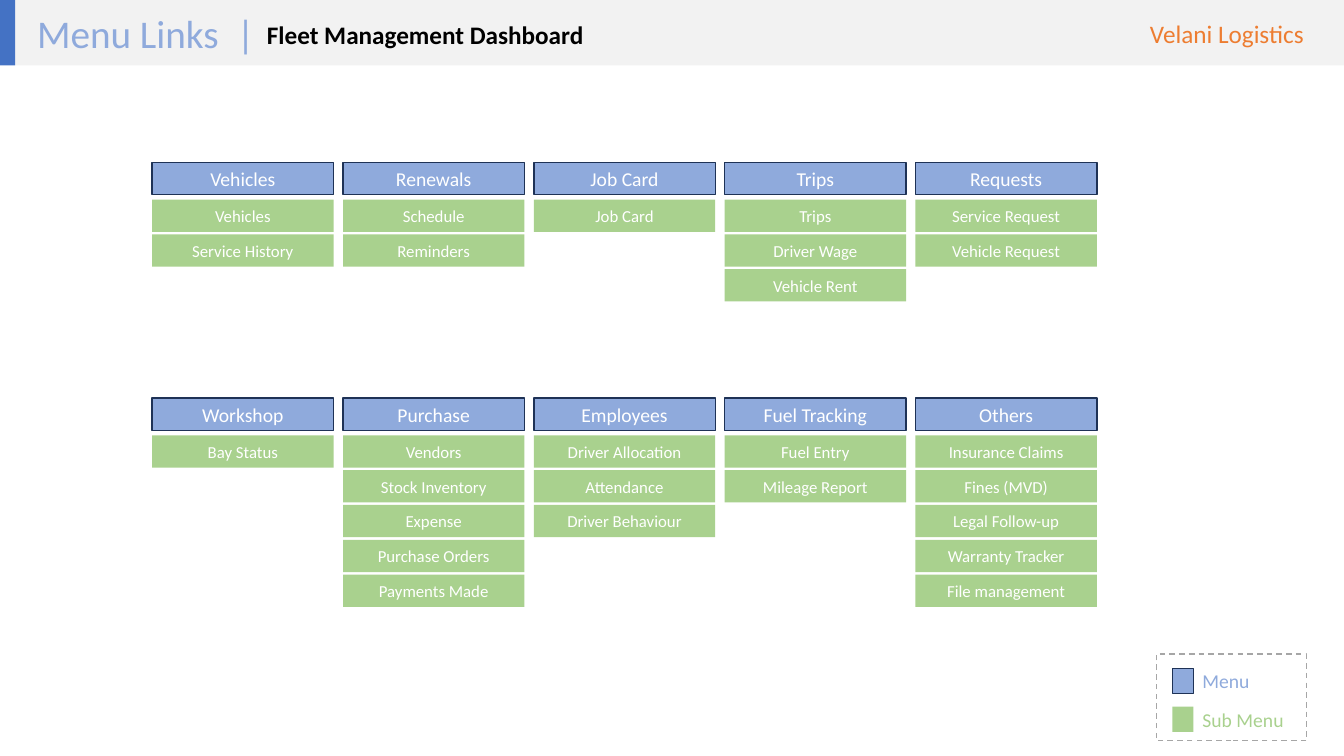
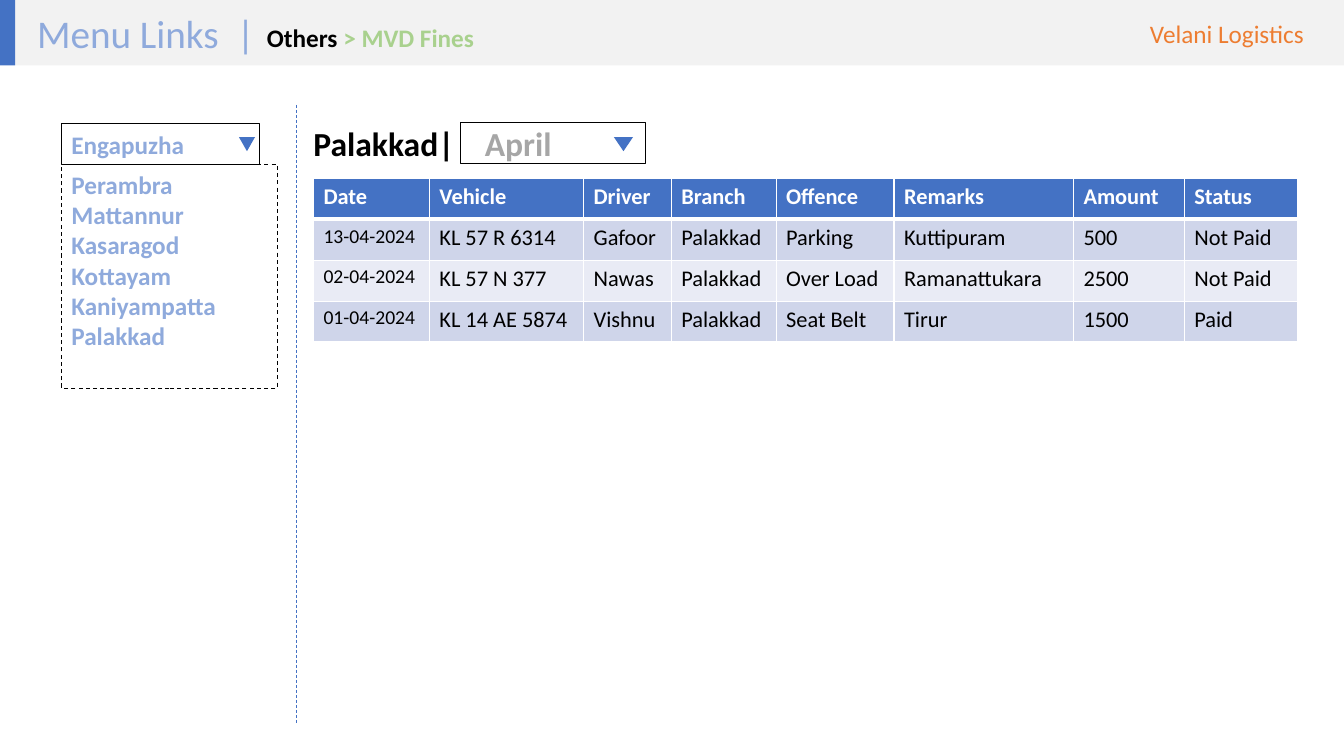
"""Build the menu overview and the fines page of a fleet management dashboard."""
from lxml import etree
from pptx import Presentation
from pptx import util as u
from pptx.dml.color import RGBColor
from pptx.enum import dml, shapes, text
from pptx.oxml import ns

COLORS = {
    "band": "F2F2F2", "accent": "4472C4", "brand": "ED7D31",
    "menu": "8FAADC", "edge": "1E3256", "sub": "A9D18E",
    "white": "FFFFFF", "black": "000000", "grey": "A6A6A6",
    "odd": "CFD5EA", "even": "E9EBF5",
}
FONT = "Calibri"
COLS, ROWS = 133.33, 75
UNIT = u.Inches(0.1)
BAND_H = 6.5

MENU_LEFT, MENU_PITCH, MENU_W, MENU_H = 15.1, 18.93, 18, 3.2
SUB_OFFSET, SUB_PITCH = 3.7, 3.45
MENU_TOPS = (16.1, 39.5)
MENUS = (
    (("Vehicles", ("Vehicles", "Service History")),
     ("Renewals", ("Schedule", "Reminders")),
     ("Job Card", ("Job Card",)),
     ("Trips", ("Trips", "Driver Wage", "Vehicle Rent")),
     ("Requests", ("Service Request", "Vehicle Request"))),
    (("Workshop", ("Bay Status",)),
     ("Purchase", ("Vendors", "Stock Inventory", "Expense", "Purchase Orders", "Payments Made")),
     ("Employees", ("Driver Allocation", "Attendance", "Driver Behaviour")),
     ("Fuel Tracking", ("Fuel Entry", "Mileage Report")),
     ("Others", ("Insurance Claims", "Fines (MVD)", "Legal Follow-up", "Warranty Tracker",
                 "File management"))),
)

BRANCHES = ("Perambra", "Mattannur", "Kasaragod", "Kottayam", "Kaniyampatta", "Palakkad")
FINE_COLS = (11.5, 15.3, 8.7, 10.4, 11.7, 17.8, 11, 11.2)
FINE_ROW = 4.06
FINES = (
    ("Date", "Vehicle", "Driver", "Branch", "Offence", "Remarks", "Amount", "Status"),
    ("13-04-2024", "KL 57 R 6314", "Gafoor", "Palakkad", "Parking", "Kuttipuram", "500", "Not Paid"),
    ("02-04-2024", "KL 57 N 377", "Nawas", "Palakkad", "Over Load", "Ramanattukara", "2500", "Not Paid"),
    ("01-04-2024", "KL 14 AE 5874", "Vishnu", "Palakkad", "Seat Belt", "Tirur", "1500", "Paid"),
)


def grid(*lengths):
    """Turn grid columns or rows into slide lengths."""
    return [u.Emu(round(n * UNIT)) for n in lengths]


def rgb(name):
    """Look up a named colour."""
    return RGBColor.from_string(COLORS[name])


def write(p, words, size=18, color="black", bold=False, align=None):
    """Add a formatted run to a paragraph."""
    r = p.add_run()
    r.text = words
    r.font.name, r.font.size, r.font.bold = FONT, u.Pt(size), bold
    r.font.color.rgb = rgb(color)
    p.alignment = align


def label(slide, x, y, w, h, words, **fmt):
    """Add a text box and return its first paragraph."""
    tf = slide.shapes.add_textbox(*grid(x, y, w, h)).text_frame
    tf.word_wrap = True
    write(tf.paragraphs[0], words, **fmt)
    return tf.paragraphs[0]


def box(slide, x, y, w, h, fill=None, line=None, width=1.0, dash=False,
        kind=shapes.MSO_SHAPE.RECTANGLE):
    """Add a flat preset shape."""
    sp = slide.shapes.add_shape(kind, *grid(x, y, w, h))
    sp.shadow.inherit = False
    if fill:
        sp.fill.solid()
        sp.fill.fore_color.rgb = rgb(fill)
    else:
        sp.fill.background()
    if line:
        sp.line.color.rgb = rgb(line)
        sp.line.width = u.Pt(width)
        if dash:
            sp.line.dash_style = dml.MSO_LINE.DASH
    else:
        sp.line.fill.background()
    return sp


def button(slide, x, y, words, size, **look):
    """Add a menu button with centred white text."""
    tf = box(slide, x, y, MENU_W, MENU_H, **look).text_frame
    tf.margin_top = tf.margin_bottom = 0
    tf.vertical_anchor = text.MSO_ANCHOR.MIDDLE
    write(tf.paragraphs[0], words, size=size, color="white", align=text.PP_ALIGN.CENTER)


def framed_list(slide, x, y, w, h, items, dash=False, left=1, top=0.5, **fmt):
    """Add an outlined box with one paragraph per item."""
    tf = box(slide, x, y, w, h, line="black", width=0.75, dash=dash).text_frame
    tf.word_wrap = True
    tf.vertical_anchor = text.MSO_ANCHOR.TOP
    tf.margin_left, tf.margin_top = grid(left, top)
    for i, item in enumerate(items):
        p = tf.paragraphs[0] if i == 0 else tf.add_paragraph()
        write(p, item, bold=True, align=text.PP_ALIGN.LEFT, **fmt)


def arrow_down(slide, x, y, w):
    """Add the marker of a drop-down field."""
    box(slide, x, y, w, 1.4, fill="accent",
        kind=shapes.MSO_SHAPE.ISOSCELES_TRIANGLE).rotation = 180


def dashed_rule(slide, x, top, bottom):
    """Add a thin vertical dashed line."""
    ln = slide.shapes.add_connector(shapes.MSO_CONNECTOR.STRAIGHT, *grid(x, top, x, bottom))
    ln.line.color.rgb = rgb("accent")
    ln.line.width = u.Pt(0.5)
    ln.line.dash_style = dml.MSO_LINE.DASH
    etree.SubElement(ln._element.spPr, ns.qn("a:effectLst"))


def cell_borders(cell, bottom):
    """Give a cell white borders, with its own bottom width."""
    tc_pr = cell._tc.get_or_add_tcPr()
    for i, (side, width) in enumerate((("L", 1), ("R", 1), ("T", 1), ("B", bottom))):
        ln = etree.Element(ns.qn(f"a:ln{side}"), w=str(u.Pt(width)))
        fill = etree.SubElement(ln, ns.qn("a:solidFill"))
        etree.SubElement(fill, ns.qn("a:srgbClr"), val=COLORS["white"])
        tc_pr.insert(i, ln)


def fines_table(slide, x, y):
    """Add the table of fines."""
    size = grid(x, y, sum(FINE_COLS), FINE_ROW * len(FINES))
    tbl = slide.shapes.add_table(len(FINES), len(FINE_COLS), *size).table
    for col, width in zip(tbl.columns, grid(*FINE_COLS)):
        col.width = width
    for i, record in enumerate(FINES):
        head = i == 0
        for j, words in enumerate(record):
            cell = tbl.cell(i, j)
            cell.fill.solid()
            cell.fill.fore_color.rgb = rgb("accent" if head else "odd" if i % 2 else "even")
            cell_borders(cell, 3 if head or i == 0 else 1)
            write(cell.text_frame.paragraphs[0], words, size=14 if j == 0 and not head else 16,
                  color="white" if head else "black", bold=head)


def new_slide(prs, topic, topic_y):
    """Add a slide with the header band; return it and the topic paragraph."""
    slide = prs.slides.add_slide(prs.slide_layouts[6])
    box(slide, 1.5, 0, COLS - 1.5, BAND_H, fill="band")
    label(slide, 113.1, 1.3, 19.5, 4, "Velani Logistics", color="brand")
    box(slide, 0, 0, 1.5, BAND_H, fill="accent")
    label(slide, 2.7, 0.4, 21, 5.7, "Menu Links", size=28, color="menu")
    label(slide, 22.5, 0.4, 4, 5.7, "|", size=28, color="menu")
    return slide, label(slide, 25.5, topic_y, 35, 4, topic, bold=True)


def legend(slide):
    """Add the key to the button colours."""
    for y, words, color, line in ((65.9, "Menu", "menu", "edge"), (69.7, "Sub Menu", "sub", None)):
        label(slide, 118.3, y, 11.2, 3.4, words, size=14, color=color)
        box(slide, 116.3, y + 0.4, 2.1, 2.5, fill=color, line=line)
    box(slide, 114.7, 64.9, 14.9, 8.6, line="grey", dash=True)


def menu_slide(prs):
    """Build the overview of menus and submenus."""
    slide, _ = new_slide(prs, "Fleet Management Dashboard", 1.4)
    for top, menus in zip(MENU_TOPS, MENUS):
        for col, (menu, subs) in enumerate(menus):
            x = MENU_LEFT + col * MENU_PITCH
            button(slide, x, top, menu, 14, fill="menu", line="edge")
            for row, sub in enumerate(subs):
                button(slide, x, top + SUB_OFFSET + row * SUB_PITCH, sub, 12, fill="sub")
    legend(slide)


def fines_slide(prs):
    """Build the page of fines for one branch."""
    slide, p = new_slide(prs, "Others", 1.7)
    write(p, " > MVD Fines", color="sub", bold=True)
    framed_list(slide, 6.1, 12.3, 19.7, 4, ("Engapuzha",), color="menu")
    arrow_down(slide, 23.7, 13.6, 1.6)
    framed_list(slide, 6.1, 16.3, 21.4, 22.2, BRANCHES, dash=True, color="menu")
    dashed_rule(slide, 29.4, 10.4, 71.8)
    fines_table(slide, 31.1, 17.7)
    label(slide, 30.1, 11.7, 17, 5, "Palakkad|", size=24, bold=True)
    framed_list(slide, 45.7, 12.2, 18.3, 4, ("April",), left=2.4, top=0, size=24, color="grey")
    arrow_down(slide, 60.9, 13.6, 1.9)


def main():
    """Build and save the presentation."""
    prs = Presentation()
    prs.slide_width, prs.slide_height = grid(COLS, ROWS)
    menu_slide(prs)
    fines_slide(prs)
    prs.save("out.pptx")


if __name__ == "__main__":
    main()
